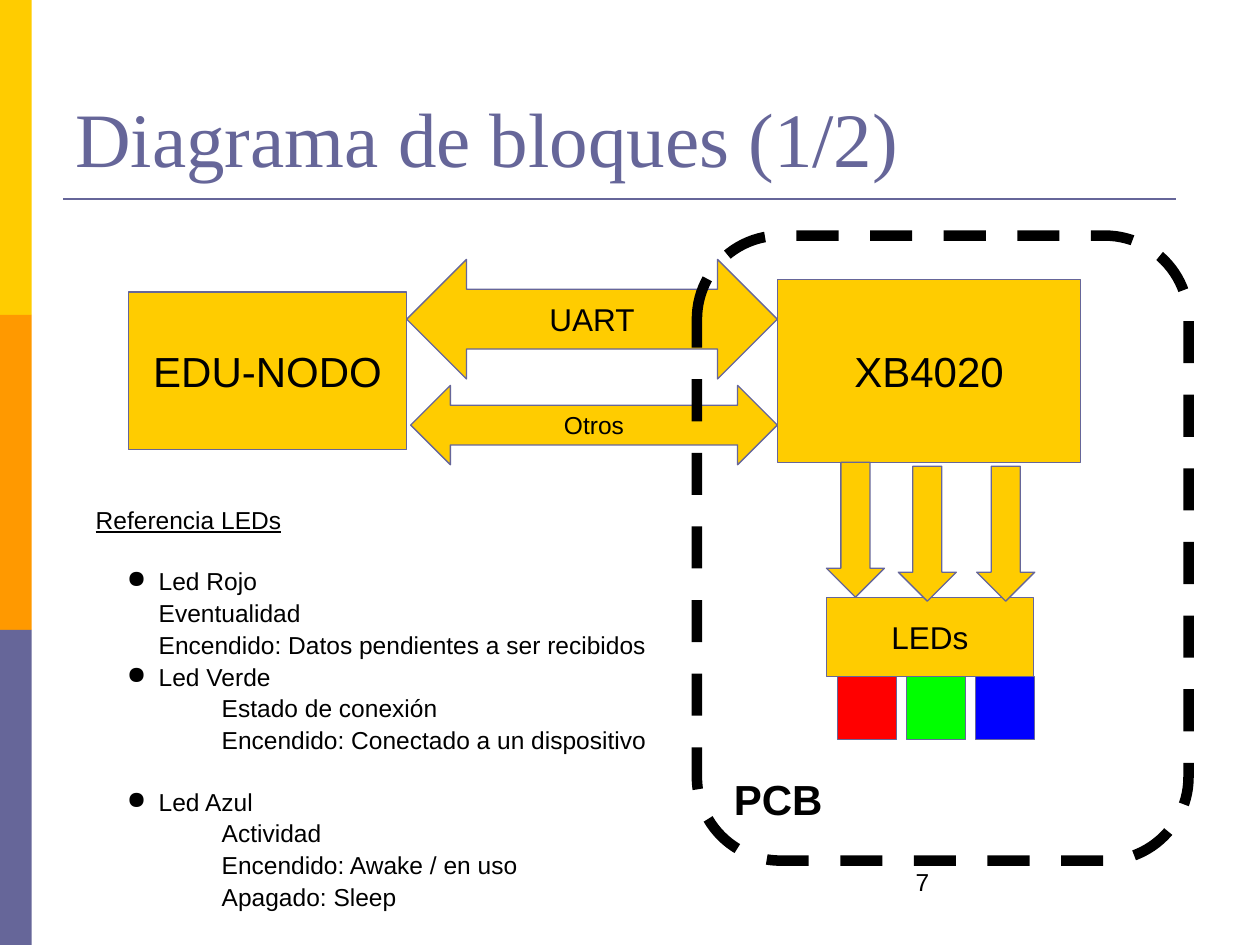
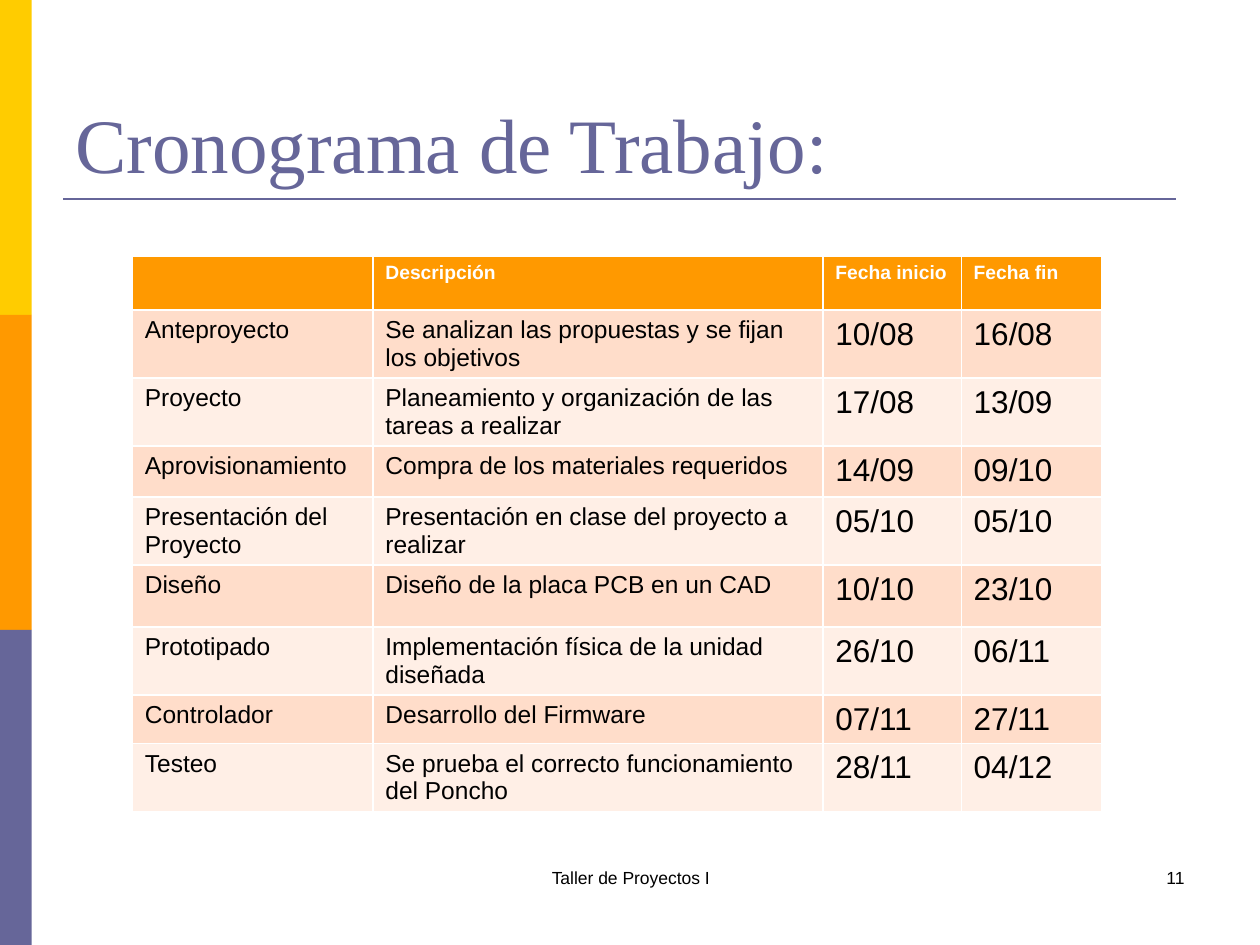
"""Build a block diagram slide and a work schedule slide."""
from lxml.etree import SubElement
from pptx import Presentation
from pptx.dml.color import RGBColor
from pptx.enum.dml import MSO_LINE as Dash
from pptx.enum.shapes import MSO_CONNECTOR as Link, MSO_SHAPE as Kind
from pptx.enum.text import MSO_ANCHOR as Anchor, MSO_AUTO_SIZE as Fit, PP_ALIGN as Align
from pptx.oxml.ns import qn
from pptx.util import Cm, Pt

GOLD = RGBColor(0xFF, 0xCC, 0x00)
ORANGE = RGBColor(0xFF, 0x99, 0x00)
VIOLET = RGBColor(0x66, 0x66, 0x99)
PEACH = RGBColor(0xFF, 0xDD, 0xCA)
CREAM = RGBColor(0xFF, 0xEF, 0xE6)
BLACK = RGBColor(0, 0, 0)
WHITE = RGBColor(0xFF, 0xFF, 0xFF)
RED = RGBColor(0xFF, 0, 0)
GREEN = RGBColor(0, 0xFF, 0)
BLUE = RGBColor(0, 0, 0xFF)

PAD = 0.25
THIN = 0.13

# text, left margin (cm), bulleted, gap before (pt)
NOTES = [
    ("Led Rojo", 1.27, True, 17),
    ("Eventualidad", 1.27, False, 0),
    ("Encendido: Datos pendientes a ser recibidos", 1.27, False, 0),
    ("Led Verde", 1.27, True, 0),
    ("Estado de conexión", 2.54, False, 0),
    ("Encendido: Conectado a un dispositivo", 2.54, False, 0),
    ("Led Azul", 1.27, True, 17),
    ("Actividad", 2.54, False, 0),
    ("Encendido: Awake / en uso", 2.54, False, 0),
    ("Apagado: Sleep", 2.54, False, 0),
]

HEADS = ["", "Descripción", "Fecha inicio", "Fecha fin"]
TASKS = [
    ("Anteproyecto", "Se analizan las propuestas y se fijan los objetivos", "10/08", "16/08"),
    ("Proyecto", "Planeamiento y organización de las tareas a realizar", "17/08", "13/09"),
    ("Aprovisionamiento", "Compra de los materiales requeridos", "14/09", "09/10"),
    ("Presentación del Proyecto", "Presentación en clase del proyecto a realizar",
     "05/10", "05/10"),
    ("Diseño", "Diseño de la placa PCB en un CAD", "10/10", "23/10"),
    ("Prototipado", "Implementación física de la unidad diseñada", "26/10", "06/11"),
    ("Controlador", "Desarrollo del Firmware", "07/11", "27/11"),
    ("Testeo", "Se prueba el correcto funcionamiento del Poncho", "28/11", "04/12"),
]
WIDTHS = [4.85, 9.07, 2.79, 2.84]
HEIGHTS = [1.09, 1.37, 1.37, 1.03, 1.37, 1.25, 1.37, 0.97, 1.37]


def style(para, size, color=BLACK, bold=False, face="Arial"):
    """Set the font of a whole paragraph."""
    font = para.font
    font.name, font.size, font.bold = face, Pt(size), bold
    font.color.rgb = color


def inset(frame, side, edge):
    """Set the inner margins of a text frame."""
    frame.margin_left = frame.margin_right = Cm(side)
    frame.margin_top = frame.margin_bottom = Cm(edge)


def add_form(slide, kind, box, fill=GOLD, line=VIOLET, width=0.75):
    """Add a preset shape, unfilled or unlined where None is given."""
    form = slide.shapes.add_shape(kind, *map(Cm, box))
    form.shadow.inherit = False
    if fill is None:
        form.fill.background()
    else:
        form.fill.solid()
        form.fill.fore_color.rgb = fill
    if line is None:
        form.line.fill.background()
    else:
        form.line.color.rgb = line
        form.line.width = Pt(width)
    return form


def label(form, text, size, align=Align.CENTER, anchor=Anchor.MIDDLE, bold=False):
    """Write one line of text in a shape."""
    frame = form.text_frame
    frame.word_wrap = True
    frame.vertical_anchor = anchor
    inset(frame, PAD, PAD)
    para = frame.paragraphs[0]
    para.text, para.alignment = text, align
    style(para, size, bold=bold)


def add_text(slide, box, edge=THIN):
    """Add a wrapping text box and return its frame."""
    frame = slide.shapes.add_textbox(*map(Cm, box)).text_frame
    frame.word_wrap = True
    inset(frame, PAD, edge)
    return frame


def add_foot(slide, left, width, text, size, align):
    """Add a footer text."""
    para = add_text(slide, (left, 17.35, width, 1.27)).paragraphs[0]
    para.text, para.alignment = text, align
    style(para, size)


def add_page(deck, text, edge):
    """Add a slide with side bands, title and rule."""
    slide = deck.slides.add_slide(deck.slide_layouts[5])
    for i, color in enumerate([GOLD, ORANGE, VIOLET]):
        add_form(slide, Kind.RECTANGLE, (0, 6.35 * i, 0.64, 6.35), color, None)
    rule = slide.shapes.add_connector(Link.STRAIGHT, Cm(1.27), Cm(4.01), Cm(23.7), Cm(4.01))
    rule.line.color.rgb = VIOLET
    rule.line.width = Pt(1.5)
    SubElement(rule._element.spPr, qn("a:effectLst"))
    title = slide.shapes.title
    title.left, title.top, title.width, title.height = map(Cm, (1.27, 0.76, 22.86, 3.18))
    frame = title.text_frame
    frame.auto_size = Fit.NONE
    frame.word_wrap = True
    frame.vertical_anchor = Anchor.BOTTOM
    inset(frame, PAD, edge)
    para = frame.paragraphs[0]
    para.text, para.alignment = text, Align.LEFT
    style(para, 44, VIOLET, face="Times New Roman")
    return slide


def add_notes(slide):
    """Add the list that explains the LEDs."""
    frame = add_text(slide, (1.68, 9.88, 11.76, 8.38), PAD)
    head = frame.paragraphs[0]
    head.text = "Referencia LEDs"
    head.line_spacing = 1.08
    style(head, 14)
    head.font.underline = True
    for text, left, dot, gap in NOTES:
        para = frame.add_paragraph()
        para.text = text
        props = para._p.get_or_add_pPr()
        props.set("marL", str(Cm(left)))
        props.set("indent", str(Cm(-0.64) if dot else 0))
        if dot:
            SubElement(props, qn("a:buChar")).set("char", "●")
        para.line_spacing = 1.08
        para.space_before = Pt(gap)
        style(para, 14)


def draw_blocks(deck):
    """Build the block diagram slide."""
    slide = add_page(deck, "Diagrama de bloques (1/2)", PAD)
    for text, size, box in [("Otros", 14, (8.28, 7.77, 7.39, 1.6)),
                            ("UART", 18, (8.2, 5.23, 7.47, 2.41))]:
        label(add_form(slide, Kind.LEFT_RIGHT_ARROW, box), text, size)
    board = add_form(slide, Kind.ROUNDED_RECTANGLE, (14.05, 4.75, 9.91, 12.6), None, BLACK, 6)
    board.adjustments[0] = 0.17
    board.line.dash_style = Dash.DASH
    label(board, "PCB", 24, Align.LEFT, Anchor.BOTTOM, True)
    for text, size, box in [("EDU-NODO", 24, (2.59, 5.89, 5.61, 3.18)),
                            ("XB4020", 24, (15.67, 5.64, 6.12, 3.68)),
                            ("LEDs", 18, (16.66, 12.04, 4.17, 1.6))]:
        label(add_form(slide, Kind.RECTANGLE, box), text, size)
    for i, color in enumerate([RED, GREEN, BLUE]):
        add_form(slide, Kind.RECTANGLE, (16.89 + 1.39 * i, 13.64, 1.18, 1.27), color)
    for left, top in [(16.66, 9.32), (18.11, 9.4), (19.69, 9.4)]:
        add_form(slide, Kind.DOWN_ARROW, (left, top, 1.17, 2.72))
    add_notes(slide)
    add_foot(slide, 18.21, 5.92, "7", 14, Align.LEFT)


def fill_cell(cell, text, fill, size, color=BLACK, bold=False):
    """Fill a cell and write its text."""
    cell.fill.solid()
    cell.fill.fore_color.rgb = fill
    inset(cell, PAD, THIN)
    para = cell.text_frame.paragraphs[0]
    if text:
        para.text = text
    style(para, size, color, bold)


def draw_plan(deck):
    """Build the schedule slide."""
    slide = add_page(deck, "Cronograma de Trabajo:", THIN)
    box = (2.67, 5.16, sum(WIDTHS), sum(HEIGHTS))
    table = slide.shapes.add_table(len(HEIGHTS), len(WIDTHS), *map(Cm, box)).table
    for col, width in zip(table.columns, WIDTHS):
        col.width = Cm(width)
    for row, height in zip(table.rows, HEIGHTS):
        row.height = Cm(height)
    for c, text in enumerate(HEADS):
        fill_cell(table.cell(0, c), text, ORANGE, 11, WHITE, True)
    for r, task in enumerate(TASKS, 1):
        for c, text in enumerate(task):
            fill_cell(table.cell(r, c), text, PEACH if r % 2 else CREAM, 14 if c < 2 else 18)
    add_foot(slide, 8.69, 8.05, "Taller de Proyectos I", 10, Align.CENTER)
    add_foot(slide, 18.21, 5.92, "11", 10, Align.RIGHT)


def main():
    """Build and save the deck."""
    deck = Presentation()
    deck.slide_width, deck.slide_height = Cm(25.4), Cm(19.05)
    draw_blocks(deck)
    draw_plan(deck)
    deck.save("out.pptx")


if __name__ == "__main__":
    main()
